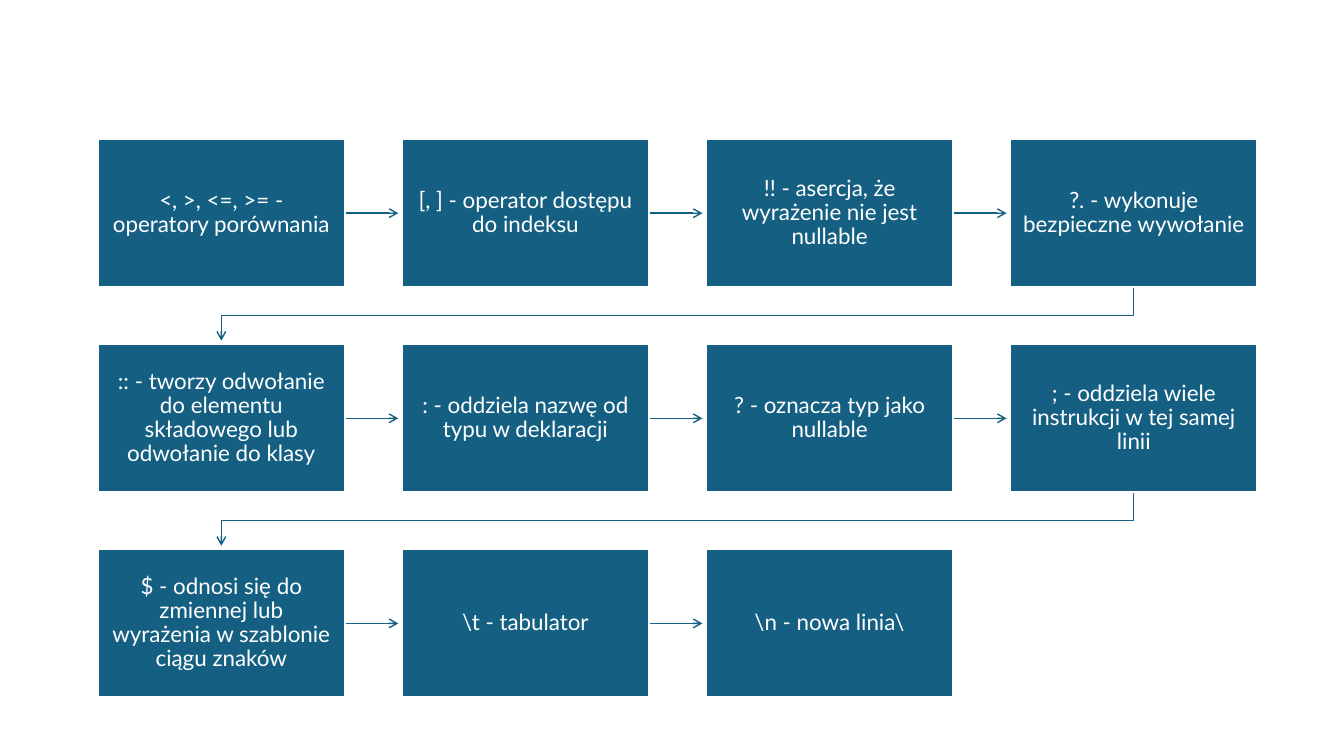
import pptx
import pptx.util
import pptx.dml.color
import pptx.enum.shapes
import pptx.enum.text
import pptx.oxml.ns
import lxml.etree

Inches = pptx.util.Inches
Pt = pptx.util.Pt

OPERATORS = [
    "<, >, <=, >= - operatory porównania",
    "[, ] - operator dostępu do indeksu",
    "!! - asercja, że wyrażenie nie jest nullable",
    "?. - wykonuje bezpieczne wywołanie",
    ":: - tworzy odwołanie do elementu składowego lub odwołanie do klasy",
    ": - oddziela nazwę od typu w deklaracji",
    "? - oznacza typ jako nullable",
    "; - oddziela wiele instrukcji w tej samej linii",
    "$ - odnosi się do zmiennej lub wyrażenia w szablonie ciągu znaków",
    "\\t - tabulator",
    "\\n - nowa linia\\",
]
COLUMNS = 4
LEFT, LAST_LEFT = 0.97, 10.02
TOP, LAST_TOP = 1.38, 5.45
BOX_WIDTH, BOX_HEIGHT = 2.45, 1.47
COLUMN_STEP = (LAST_LEFT - LEFT) / (COLUMNS - 1)
ROW_STEP = (LAST_TOP - TOP) / 2
ARROW_LENGTH = 0.53
BEND_DROP = 0.28
BLUE, WHITE = "156082", "FFFFFF"

FRAME_FORMAT = {
    "word_wrap": True,
    "vertical_anchor": pptx.enum.text.MSO_ANCHOR.MIDDLE,
    "margin_left": Inches(0.12),
    "margin_right": Inches(0.12),
    "margin_top": Inches(0.13),
    "margin_bottom": Inches(0.13),
}
PARA_FORMAT = {"alignment": pptx.enum.text.PP_ALIGN.CENTER, "line_spacing": 0.9}
FONT_FORMAT = {"name": "Lato", "size": Pt(16)}


def color(hex_string):
    return pptx.dml.color.RGBColor.from_string(hex_string)


def apply_format(target, values):
    for name, value in values.items():
        setattr(target, name, value)


def style_line(line, hex_string, width):
    line.color.rgb = color(hex_string)
    line.width = Pt(width)


def style_arrow(arrow):
    style_line(arrow.line, BLUE, 1)
    qn = pptx.oxml.ns.qn
    properties = arrow.element.spPr
    lxml.etree.SubElement(properties.find(qn("a:ln")), qn("a:tailEnd"), type="arrow")
    lxml.etree.SubElement(properties, qn("a:effectLst"))


def box_position(index):
    row, column = divmod(index, COLUMNS)
    return LEFT + column * COLUMN_STEP, TOP + row * ROW_STEP


def add_straight_arrow(page, index):
    left, top = box_position(index)
    start, middle = left + BOX_WIDTH, top + BOX_HEIGHT / 2
    arrow = page.shapes.add_connector(
        pptx.enum.shapes.MSO_CONNECTOR.STRAIGHT,
        Inches(start), Inches(middle), Inches(start + ARROW_LENGTH), Inches(middle))
    style_arrow(arrow)


def add_row_arrow(page, index):
    left, top = box_position(index)
    start_x, start_y = left + BOX_WIDTH / 2, top + BOX_HEIGHT
    end_x, end_y = LEFT + BOX_WIDTH / 2, start_y + ARROW_LENGTH
    bend_y = start_y + BEND_DROP
    builder = page.shapes.build_freeform(Inches(start_x), Inches(start_y))
    corners = [(start_x, bend_y), (end_x, bend_y), (end_x, end_y)]
    builder.add_line_segments([(Inches(x), Inches(y)) for x, y in corners], close=False)
    arrow = builder.convert_to_shape()
    arrow.fill.background()
    style_arrow(arrow)


def add_box(page, index, text):
    left, top = box_position(index)
    box = page.shapes.add_shape(
        pptx.enum.shapes.MSO_SHAPE.RECTANGLE,
        Inches(left), Inches(top), Inches(BOX_WIDTH), Inches(BOX_HEIGHT))
    box.shadow.inherit = False
    box.fill.solid()
    box.fill.fore_color.rgb = color(BLUE)
    style_line(box.line, WHITE, 1.5)
    apply_format(box.text_frame, FRAME_FORMAT)
    para = box.text_frame.paragraphs[0]
    apply_format(para, PARA_FORMAT)
    span = para.add_run()
    span.text = text
    apply_format(span.font, FONT_FORMAT)
    span.font.color.rgb = color(WHITE)


def main():
    deck = pptx.Presentation()
    deck.slide_width, deck.slide_height = Inches(13.33), Inches(7.5)
    page = deck.slides.add_slide(deck.slide_layouts[6])
    for index, text in enumerate(OPERATORS):
        if index < len(OPERATORS) - 1:
            ends_row = index % COLUMNS == COLUMNS - 1
            add_arrow = add_row_arrow if ends_row else add_straight_arrow
            add_arrow(page, index)
        add_box(page, index, text)
    deck.save("out.pptx")


if __name__ == "__main__":
    main()
